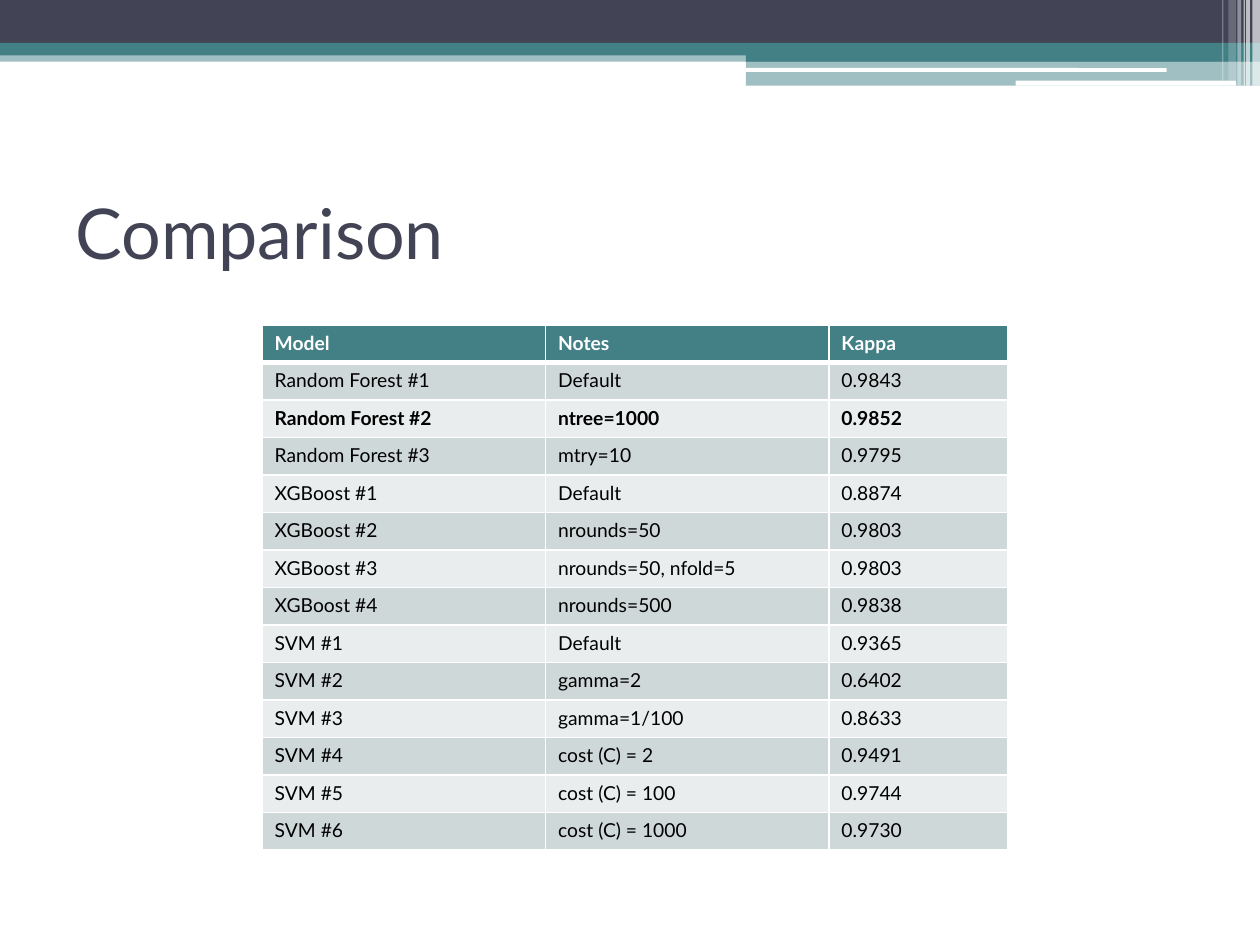
from dataclasses import dataclass

from lxml.etree import SubElement
from pptx import Presentation
from pptx.dml.color import RGBColor
from pptx.enum.shapes import MSO_SHAPE as Shape
from pptx.enum.text import MSO_ANCHOR as Anchor, MSO_AUTO_SIZE as AutoSize, PP_ALIGN as Align
from pptx.oxml.ns import qn
from pptx.util import Inches, Pt

COLUMNS, ROWS = 1000, 750


@dataclass(frozen=True)
class Theme:
    """Colours, font and type sizes of the deck."""
    ink: str = "424456"
    accent: str = "438086"
    paper: str = "FFFFFF"
    text: str = "000000"
    bands: tuple = ("CFD8D9", "E9EDED")
    font: str = "Lato"
    title_size: int = 40
    table_size: int = 11
    rule: int = 1
    header_rule: int = 3


@dataclass(frozen=True)
class Box:
    """A region in columns and rows of the slide grid."""
    left: float
    top: float
    width: float
    height: float

    def inner(self, left, top, width, height):
        """Return a region placed relative to this one."""
        return Box(self.left + left, self.top + top, width, height)

    def lengths(self):
        """Return left, top, width and height as slide lengths."""
        return [Inches(cells / 100) for cells in (self.left, self.top, self.width, self.height)]


THEME = Theme()

RECORDS = [
    ("Random Forest #1", "Default", "0.9843"),
    ("Random Forest #2", "ntree=1000", "0.9852"),
    ("Random Forest #3", "mtry=10", "0.9795"),
    ("XGBoost #1", "Default", "0.8874"),
    ("XGBoost #2", "nrounds=50", "0.9803"),
    ("XGBoost #3", "nrounds=50, nfold=5", "0.9803"),
    ("XGBoost #4", "nrounds=500", "0.9838"),
    ("SVM #1", "Default", "0.9365"),
    ("SVM #2", "gamma=2", "0.6402"),
    ("SVM #3", "gamma=1/100", "0.8633"),
    ("SVM #4", "cost (C) = 2", "0.9491"),
    ("SVM #5", "cost (C) = 100", "0.9744"),
    ("SVM #6", "cost (C) = 1000", "0.9730"),
]


def style_font(font, size, color, bold=False):
    """Apply the deck font with a size, colour and weight."""
    font.name = THEME.font
    font.size = Pt(size)
    font.bold = bold
    font.color.rgb = RGBColor.from_string(color)


def add_bar(page, box, color, opacity=100, kind=Shape.RECTANGLE):
    """Add a borderless bar, see-through below full opacity."""
    bar = page.shapes.add_shape(kind, *box.lengths())
    bar.shadow.inherit = False
    bar.line.fill.background()
    bar.fill.solid()
    bar.fill.fore_color.rgb = RGBColor.from_string(color)
    if opacity < 100:
        tint = bar.element.spPr.find(qn("a:solidFill"))[0]
        SubElement(tint, qn("a:alpha"), val=str(opacity * 1000))


def add_ribbon(page, box):
    """Draw the layered ribbon with its light strips and end stripes."""
    tab, tab_width = 592, box.width - 592
    bands = [
        (0, 40, box.width, 9, THEME.accent, 50),
        (0, 0, box.width, 34, THEME.ink, 100),
        (0, 34, box.width, 10, THEME.accent, 100),
        (tab, 39, tab_width, 10, THEME.accent, 100),
        (tab, 48, tab_width, 20, THEME.accent, 50),
    ]
    for *place, color, opacity in bands:
        add_bar(page, box.inner(*place), color, opacity)

    for place in [(591, 54, 335, 3), (806, 64, 175, 4)]:
        add_bar(page, box.inner(*place), THEME.paper, kind=Shape.ROUNDED_RECTANGLE)

    stripes = [(994, 6, 68, 65), (989, 3, 68, 65), (987, 1, 68, 60),
               (982, 3, 68, 40), (975, 6, 64, 20), (970, 1, 64, 30)]
    for left, width, height, opacity in stripes:
        add_bar(page, box.inner(left, 0, width, height), THEME.paper, opacity)


def add_title(page, box, text):
    """Place and format the title placeholder."""
    title = page.shapes.title
    title.left, title.top, title.width, title.height = box.lengths()
    frame = title.text_frame
    frame.text = text
    frame.auto_size = AutoSize.NONE
    frame.vertical_anchor = Anchor.MIDDLE
    para = frame.paragraphs[0]
    para.alignment = Align.LEFT
    style_font(para.font, THEME.title_size, THEME.ink)


def add_borders(cell, widths):
    """Rule the left, right, top and bottom edges of a cell."""
    properties = cell._tc.get_or_add_tcPr()
    for edge, width in zip("LRTB", widths):
        line = SubElement(properties, qn(f"a:ln{edge}"), w=str(Pt(width)))
        fill = SubElement(line, qn("a:solidFill"))
        SubElement(fill, qn("a:srgbClr"), val=THEME.paper)


def fill_row(cells, texts, color, ink, bold, top_rule, bottom_rule):
    """Write and format one table row."""
    for cell, text in zip(cells, texts):
        cell.text = text
        style_font(cell.text_frame.paragraphs[0].font, THEME.table_size, ink, bold)
        add_borders(cell, (THEME.rule, THEME.rule, top_rule, bottom_rule))
        cell.fill.solid()
        cell.fill.fore_color.rgb = RGBColor.from_string(color)


def add_comparison_table(page, box, header, records):
    """Add the banded table with the best score in bold."""
    shares = (0.38, 0.38, 0.24)
    frame = page.shapes.add_table(len(records) + 1, len(header), *box.lengths())
    table = frame.table
    table.horz_banding = False
    for column, share in zip(table.columns, shares):
        column.width = Inches(box.width * share / 100)

    head, *body = table.rows
    fill_row(head.cells, header, THEME.accent, THEME.paper, True, THEME.rule, THEME.header_rule)
    best = max(float(record[-1]) for record in records)
    for index, (row, record) in enumerate(zip(body, records)):
        fill_row(row.cells, record, THEME.bands[index % 2], THEME.text,
                 float(record[-1]) == best,
                 THEME.rule if index else THEME.header_rule, THEME.rule)


def main():
    """Build the deck and save it."""
    deck = Presentation()
    deck.slide_width, deck.slide_height = Inches(COLUMNS / 100), Inches(ROWS / 100)
    page = deck.slides.add_slide(deck.slide_layouts[5])
    canvas = Box(0, 0, COLUMNS, ROWS)
    add_ribbon(page, canvas.inner(0, 0, COLUMNS, 68))
    add_title(page, canvas.inner(50, 125, 900, 117), "Comparison")
    add_comparison_table(page, canvas.inner(208, 258, 592, 417),
                         ("Model", "Notes", "Kappa"), RECORDS)
    deck.save("out.pptx")


if __name__ == "__main__":
    main()
